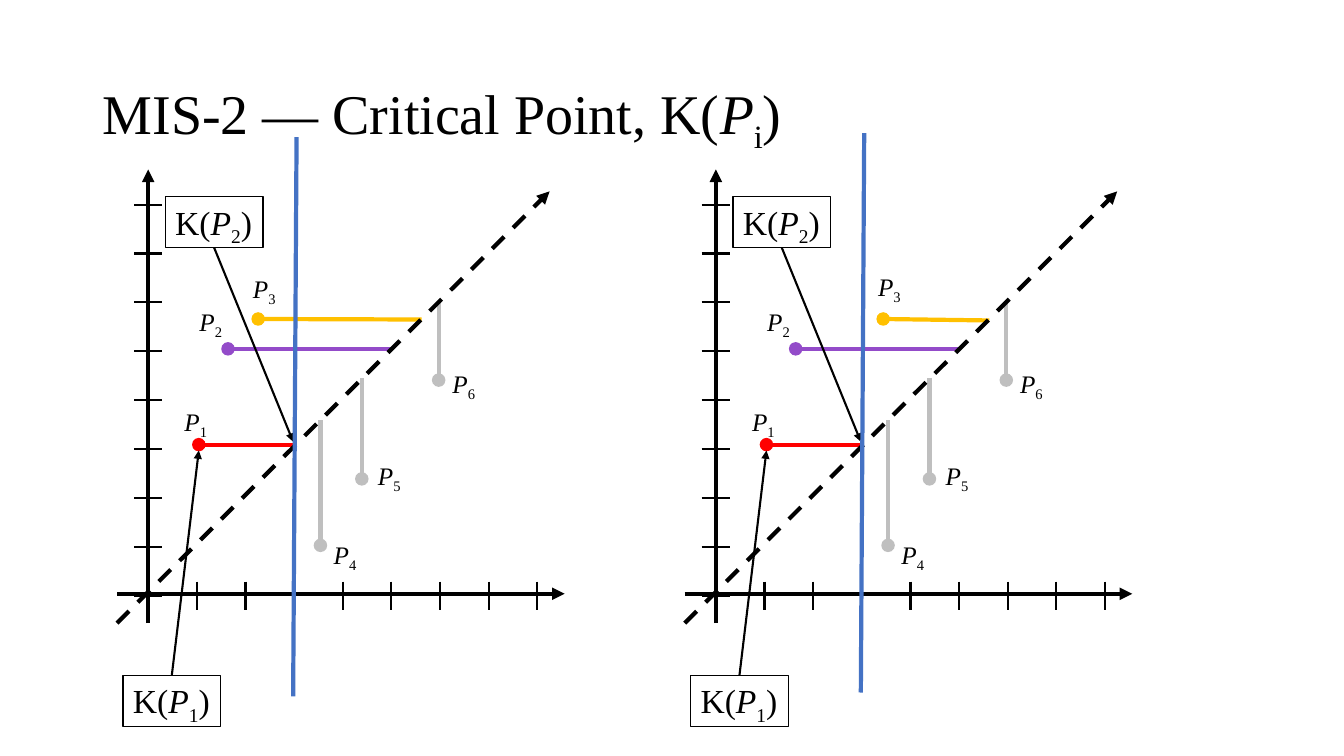
from dataclasses import dataclass

from lxml.etree import SubElement
from pptx import Presentation
from pptx.dml.color import RGBColor
from pptx.enum.dml import MSO_LINE
from pptx.enum.shapes import MSO_CONNECTOR, MSO_SHAPE
from pptx.enum.text import MSO_ANCHOR, MSO_AUTO_SIZE, PP_ALIGN
from pptx.oxml.ns import qn
from pptx.shapes.autoshape import Shape
from pptx.shapes.connector import Connector
from pptx.slide import Slide
from pptx.util import Inches, Pt


@dataclass(frozen=True)
class Theme:
    font: str = "Times New Roman"
    ink: str = "000000"
    red: str = "FF0000"
    purple: str = "934BC9"
    gold: str = "FFC000"
    gray: str = "BFBFBF"
    sweep: str = "4472C4"
    title_size: int = 40
    callout_size: int = 24
    label_size: int = 18
    heavy: float = 3
    medium: float = 1.5
    thin: float = 1


@dataclass(frozen=True)
class Spot:
    """A place counted in columns right of and rows above an origin."""
    column: float
    row: float


@dataclass(frozen=True)
class Segment:
    """A point with its label and the line running to the diagonal."""
    number: int
    color: str
    point: Spot
    end: Spot
    label: Spot


@dataclass(frozen=True)
class Callout:
    number: int
    corner: Spot
    side: int
    target: Spot


@dataclass(frozen=True)
class Panel:
    left: int
    third: Segment
    sweep_top: Spot
    sweep_bottom: Spot


THEME = Theme()

# Grid: eight tick steps each way, row zero at the x ticks
COLUMN = Inches(3.86) / 8
ROW = Inches(3.88) / 8
BASE = Inches(5.91)
FIRST_LEFT, SECOND_LEFT = Inches(1.47), Inches(7.1)
TICKS = range(9)
TICK_HALF = 0.29
DOT = Inches(0.12)

FIRST_SEGMENTS = [
    Segment(1, THEME.red, Spot(1.04, 3.09), Spot(3.01, 3.09), Spot(0.54, 3.98)),
    Segment(2, THEME.purple, Spot(1.64, 5.05), Spot(4.99, 5.05), Spot(0.85, 6.02)),
]
LAST_SEGMENTS = [
    Segment(4, THEME.gray, Spot(3.54, 1.03), Spot(3.54, 3.59), Spot(3.61, 1.26)),
    Segment(5, THEME.gray, Spot(4.39, 2.39), Spot(4.39, 4.45), Spot(4.52, 2.87)),
    Segment(6, THEME.gray, Spot(5.97, 4.41), Spot(5.97, 6), Spot(6.05, 4.76)),
]
CALLOUTS = [
    Callout(1, Spot(-0.52, -1.63), 0, Spot(1.04, 2.97)),
    Callout(2, Spot(0.35, 8.16), 2, Spot(2.98, 3.15)),
]
PANELS = [
    Panel(FIRST_LEFT,
          Segment(3, THEME.gold, Spot(2.26, 5.66), Spot(5.62, 5.65), Spot(1.95, 6.7)),
          Spot(3.05, 9.38), Spot(2.98, -2.06)),
    Panel(SECOND_LEFT,
          Segment(3, THEME.gold, Spot(3.44, 5.66), Spot(5.62, 5.63), Spot(3.13, 6.74)),
          Spot(3.05, 9.46), Spot(2.98, -1.98)),
]


def place(left: int, spot: Spot) -> tuple[int, int]:
    return round(left + spot.column * COLUMN), round(BASE - spot.row * ROW)


def write_point_name(shape: Shape, parts: tuple[str, str, str], size: int) -> None:
    """Write prefix, italic P with its subscript, and suffix."""
    prefix, subscript, suffix = parts
    paragraph = shape.text_frame.paragraphs[0]
    paragraph.alignment = PP_ALIGN.LEFT
    for text in filter(None, (prefix, "P", subscript, suffix)):
        run = paragraph.add_run()
        run.text = text
        run.font.name = THEME.font
        run.font.size = Pt(size)
        run.font.color.rgb = RGBColor.from_string(THEME.ink)
        run.font.italic = text == "P"
        if text == subscript:
            run._r.get_or_add_rPr().set("baseline", "-25000")


def draw_line(slide: Slide, left: int, start: Spot, end: Spot, color: str = THEME.ink,
              width: float = THEME.heavy, arrow: bool = False,
              dashed: bool = False) -> Connector:
    connector = slide.shapes.add_connector(
        MSO_CONNECTOR.STRAIGHT, *place(left, start), *place(left, end))
    connector.line.color.rgb = RGBColor.from_string(color)
    connector.line.width = Pt(width)
    if dashed:
        connector.line.dash_style = MSO_LINE.DASH
    if arrow:
        SubElement(connector.line._get_or_add_ln(), qn("a:tailEnd"), type="triangle")
    SubElement(connector._element.spPr, qn("a:effectLst"))
    return connector


def draw_axes(slide: Slide, left: int) -> None:
    draw_line(slide, left, Spot(0, -0.56), Spot(0, 8.72), arrow=True)
    draw_line(slide, left, Spot(-0.64, 0.04), Spot(8.56, 0.04), arrow=True)
    for tick in TICKS:
        draw_line(slide, left, Spot(tick, TICK_HALF), Spot(tick, -TICK_HALF),
                  width=THEME.medium)
        draw_line(slide, left, Spot(-TICK_HALF, tick), Spot(TICK_HALF, tick),
                  width=THEME.medium)


def draw_segment(slide: Slide, left: int, segment: Segment) -> None:
    x, y = place(left, segment.point)
    dot = slide.shapes.add_shape(
        MSO_SHAPE.OVAL, x - DOT // 2, y - DOT // 2, DOT, DOT)
    dot.shadow.inherit = False
    dot.fill.solid()
    dot.fill.fore_color.rgb = RGBColor.from_string(segment.color)
    dot.line.color.rgb = RGBColor.from_string(segment.color)
    dot.line.width = Pt(THEME.thin)
    draw_line(slide, left, segment.point, segment.end, segment.color)


def draw_label(slide: Slide, left: int, segment: Segment) -> None:
    label = slide.shapes.add_textbox(
        *place(left, segment.label), round(1.1 * COLUMN), round(0.82 * ROW))
    label.text_frame.word_wrap = True
    label.text_frame.auto_size = MSO_AUTO_SIZE.SHAPE_TO_FIT_TEXT
    write_point_name(label, ("", str(segment.number), ""), THEME.label_size)


def draw_callout(slide: Slide, left: int, callout: Callout) -> None:
    box = slide.shapes.add_shape(
        MSO_SHAPE.RECTANGLE, *place(left, callout.corner), round(2.01 * COLUMN),
        round(1.04 * ROW))
    box.shadow.inherit = False
    box.fill.background()
    box.line.color.rgb = RGBColor.from_string(THEME.ink)
    box.line.width = Pt(THEME.thin)
    box.text_frame.word_wrap = False
    box.text_frame.auto_size = MSO_AUTO_SIZE.SHAPE_TO_FIT_TEXT
    box.text_frame.vertical_anchor = MSO_ANCHOR.TOP
    write_point_name(box, ("K(", str(callout.number), ")"), THEME.callout_size)
    arrow = draw_line(slide, left, callout.corner, callout.target,
                      width=THEME.medium, arrow=True)
    arrow.begin_connect(box, callout.side)


def draw_panel(slide: Slide, panel: Panel) -> None:
    segments = [*FIRST_SEGMENTS, panel.third, *LAST_SEGMENTS]
    draw_axes(slide, panel.left)
    for segment in segments:
        draw_segment(slide, panel.left, segment)
    draw_line(slide, panel.left, Spot(-0.64, -0.56), Spot(8.25, 8.27),
              arrow=True, dashed=True)
    for callout in CALLOUTS:
        draw_callout(slide, panel.left, callout)
    for segment in segments:
        draw_label(slide, panel.left, segment)
    draw_line(slide, panel.left, panel.sweep_top, panel.sweep_bottom, THEME.sweep)


def draw_title(slide: Slide) -> None:
    title = slide.shapes.add_textbox(
        *place(FIRST_LEFT, Spot(-1.14, 11.36)), round(23.83 * COLUMN), round(2.99 * ROW))
    title.text_frame.word_wrap = True
    title.text_frame.vertical_anchor = MSO_ANCHOR.MIDDLE
    title.text_frame.paragraphs[0].line_spacing = 0.9
    write_point_name(title, ("MIS-2 — Critical Point, K(", "i", ")"), THEME.title_size)


def main() -> None:
    presentation = Presentation()
    presentation.slide_width, presentation.slide_height = Inches(13.33), Inches(7.5)
    slide = presentation.slides.add_slide(presentation.slide_layouts[6])
    draw_title(slide)
    for panel in PANELS:
        draw_panel(slide, panel)
    presentation.save("out.pptx")


if __name__ == "__main__":
    main()
